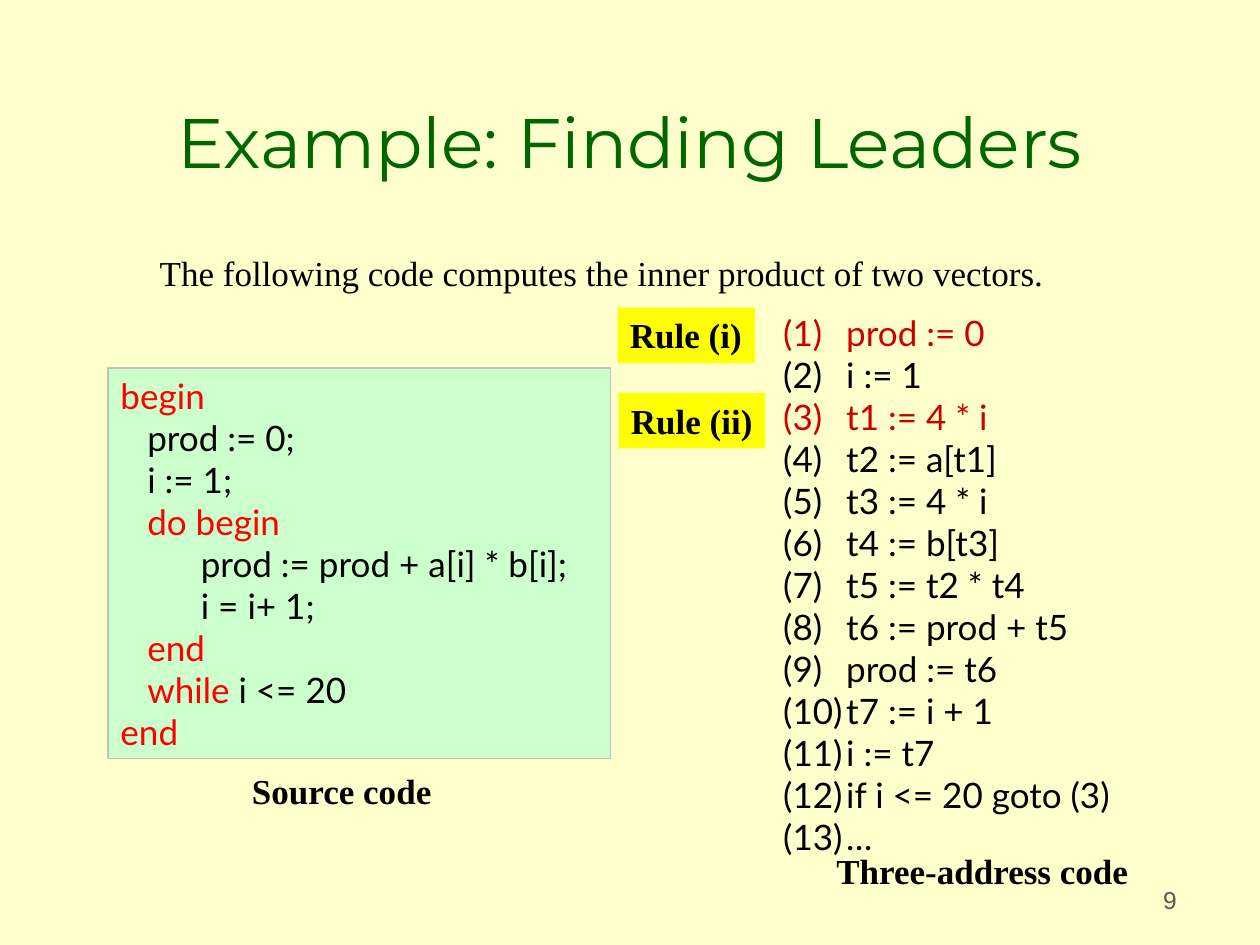
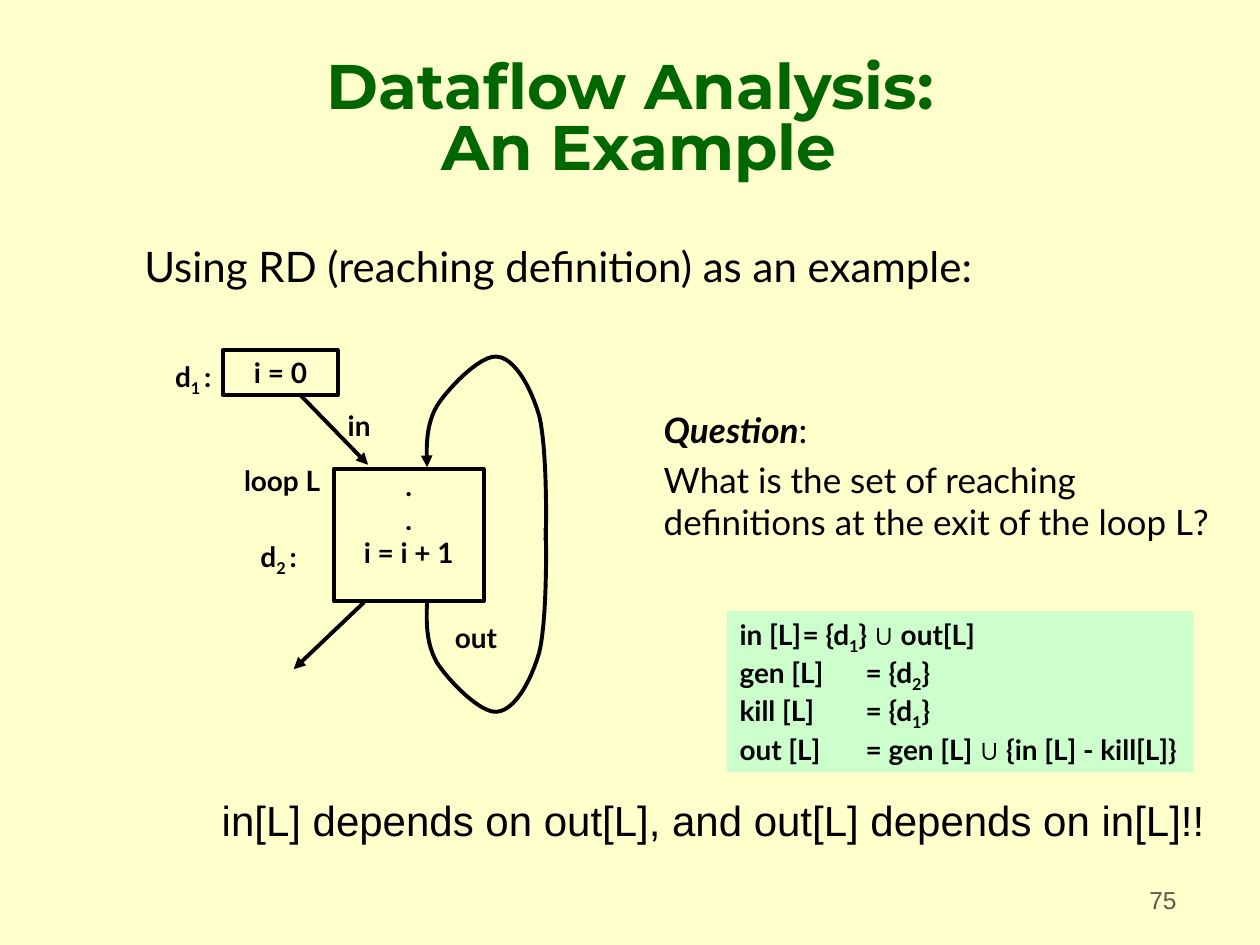
from dataclasses import dataclass, replace

from lxml.etree import SubElement
from pptx import Presentation
from pptx.dml.color import RGBColor
from pptx.enum.shapes import MSO_CONNECTOR, MSO_SHAPE
from pptx.enum.text import MSO_ANCHOR, PP_ALIGN
from pptx.oxml.ns import qn
from pptx.util import Cm, Pt


@dataclass(frozen=True)
class TextStyle:
    font: str
    size: int
    color: str = "000000"
    bold: bool = False


@dataclass(frozen=True)
class Theme:
    background: str = "FFFFCC"
    ink: str = "000000"
    panel: str = "CCFFCC"
    panel_edge: str = "C0C0C0"
    highlight: str = "FFFF00"
    keyword: str = "FF0000"
    leader: str = "CC0000"
    title: TextStyle = TextStyle("Montserrat", 40, "006600")
    page: TextStyle = TextStyle("Arial", 14, "5E574E")
    prose: TextStyle = TextStyle("Times New Roman", 20)
    caption: TextStyle = TextStyle("Times New Roman", 20, bold=True)
    code: TextStyle = TextStyle("Lato", 20)
    lead: TextStyle = TextStyle("Lato", 24)
    diagram: TextStyle = TextStyle("Lato", 16, bold=True)
    remark: TextStyle = TextStyle("Arial", 24)
    stroke: float = 2.25


@dataclass(frozen=True)
class Line:
    pieces: tuple
    color: str = ""
    indent: float = 0
    tab: float = 0
    before: float = 0


@dataclass(frozen=True)
class Piece:
    text: str
    color: str = ""
    font: str = ""
    bold: bool | None = None
    italic: bool | None = None
    subscript: bool = False


class Deck:
    def __init__(self, theme):
        self.theme = theme
        self.presentation = Presentation()
        self.presentation.slide_width = Cm(25.4)
        self.presentation.slide_height = Cm(19.05)
        fill = self.presentation.slide_master.background.fill
        fill.solid()
        fill.fore_color.rgb = RGBColor.from_string(theme.background)

    def start(self, title, title_style, page, spacing=1.0):
        self.slide = self.presentation.slides.add_slide(self.presentation.slide_layouts[6])
        self.text((1.9, 0.64, 21.6, 3.17), [title], title_style,
                  PP_ALIGN.CENTER, MSO_ANCHOR.BOTTOM, spacing)
        self.text((18.69, 17.3, 5.28, 1.27), [page], self.theme.page,
                  PP_ALIGN.RIGHT, MSO_ANCHOR.BOTTOM)

    def text(self, box, lines, style, align=PP_ALIGN.LEFT, anchor=MSO_ANCHOR.TOP, spacing=1.0):
        label = self.slide.shapes.add_textbox(*map(Cm, box))
        self.fill_frame(label.text_frame, lines, style, align, anchor, spacing)

    def box(self, box, lines, style, fill=None, edge=None, width=0.75,
            align=PP_ALIGN.LEFT, anchor=MSO_ANCHOR.TOP, top=0.13):
        shape = self.slide.shapes.add_shape(MSO_SHAPE.RECTANGLE, *map(Cm, box))
        shape.shadow.inherit = False
        if fill:
            shape.fill.solid()
            shape.fill.fore_color.rgb = RGBColor.from_string(fill)
        else:
            shape.fill.background()
        if edge:
            self.stroke(shape, edge, width)
        else:
            shape.line.fill.background()
        self.fill_frame(shape.text_frame, lines, style, align, anchor)
        shape.text_frame.margin_top = Cm(top)

    def fill_frame(self, frame, lines, style, align, anchor, spacing=1.0):
        frame.word_wrap = True
        frame.vertical_anchor = anchor
        frame.margin_left = Cm(0.25)
        frame.margin_right = Cm(0 if align == PP_ALIGN.LEFT else 0.25)
        frame.margin_top = frame.margin_bottom = Cm(0.13)
        for index, line in enumerate(lines):
            if isinstance(line, str):
                line = Line((line,))
            paragraph = frame.add_paragraph() if index else frame.paragraphs[0]
            paragraph.alignment = align
            paragraph.line_spacing = spacing
            paragraph.space_before = Pt(line.before)
            font = paragraph.font
            font.name, font.size, font.bold = style.font, Pt(style.size), style.bold
            font.color.rgb = RGBColor.from_string(line.color or style.color)
            properties = paragraph._p.get_or_add_pPr()
            properties.set("marL", str(Cm(line.indent)))
            properties.set("indent", "0")
            if line.tab:
                stops = SubElement(properties, qn("a:tabLst"))
                SubElement(stops, qn("a:tab"), pos=str(Cm(line.tab)), algn="l")
                properties.insert(properties.index(properties.find(qn("a:defRPr"))), stops)
            for piece in line.pieces:
                self.add_piece(paragraph, piece)

    def add_piece(self, paragraph, piece):
        if isinstance(piece, str):
            piece = Piece(piece)
        first, *rest = piece.text.split("\n")
        run = paragraph.add_run()
        run.text = first
        for part in rest:
            paragraph.add_line_break()
            paragraph.add_run().text = part
        if piece.color:
            run.font.color.rgb = RGBColor.from_string(piece.color)
        if piece.font:
            run.font.name = piece.font
        if piece.bold is not None:
            run.font.bold = piece.bold
        if piece.italic is not None:
            run.font.italic = piece.italic
        if piece.subscript:
            run.font._element.set("baseline", "-25000")

    def stroke(self, shape, color, width, arrow_end=None):
        shape.line.color.rgb = RGBColor.from_string(color)
        shape.line.width = Pt(width)
        if arrow_end:
            outline = shape._element.spPr.find(qn("a:ln"))
            SubElement(outline, qn(f"a:{arrow_end}"), type="triangle")

    def arrow(self, *ends):
        connector = self.slide.shapes.add_connector(MSO_CONNECTOR.STRAIGHT, *map(Cm, ends))
        self.stroke(connector, self.theme.ink, self.theme.stroke, "tailEnd")
        SubElement(connector._element.spPr, qn("a:effectLst"))

    def curve(self, start, segments, arrow_end=None, steps=12):
        points, current = [], start
        for a, b, end in segments:
            for step in range(1, steps + 1):
                t = step / steps
                weights = ((1 - t) ** 3, 3 * t * (1 - t) ** 2, 3 * t * t * (1 - t), t ** 3)
                points.append(tuple(
                    Cm(sum(w * c for w, c in zip(weights, axis)))
                    for axis in zip(current, a, b, end)))
            current = end
        builder = self.slide.shapes.build_freeform(*map(Cm, start))
        builder.add_line_segments(points, close=False)
        outline = builder.convert_to_shape()
        outline.shadow.inherit = False
        outline.fill.background()
        self.stroke(outline, self.theme.ink, self.theme.stroke, arrow_end)


def finding_leaders(deck):
    theme = deck.theme
    deck.start("Example: Finding Leaders", theme.title, "9")
    deck.text((2.97, 4.95, 18.5, 1.12),
              ["The following code computes the inner product of two vectors."], theme.prose)

    instructions = [
        "prod := 0", "i := 1", "t1 := 4 * i", "t2 := a[t1]", "t3 := 4 * i", "t4 := b[t3]",
        "t5 := t2 * t4", "t6 := prod + t5", "prod := t6", "t7 := i + 1", "i := t7",
        "if i <= 20 goto (3)", "…",
    ]
    leaders = (1, 3)
    three_address = [
        Line((f"({number})\t{instruction}",), theme.leader if number in leaders else "",
             tab=1.35 if number < 10 else 1.75)
        for number, instruction in enumerate(instructions, 1)
    ]
    deck.box((15.54, 6.15, 7.8, 11.28), three_address, theme.code, theme.background)
    deck.text((4.83, 15.39, 4.14, 1.12), ["Source code"], theme.caption)
    deck.text((16.61, 16.99, 6.4, 1.12), ["Three-address code"], theme.caption)
    deck.box((12.45, 6.2, 2.77, 1.12), ["Rule (i)"], theme.caption, theme.highlight)
    deck.box((12.47, 7.92, 2.95, 1.12), ["Rule (ii)"], theme.caption, theme.highlight)

    source = [
        (0, "begin", ""), (1, "", "prod := 0;"), (1, "", "i := 1;"), (1, "do begin", ""),
        (3, "", "prod := prod + a[i] * b[i];"), (3, "", "i = i+ 1;"), (1, "end", ""),
        (1, "while", " i <= 20"), (0, "end", ""),
    ]
    source_lines = []
    for level, keyword, rest in source:
        pieces = (Piece(keyword, theme.keyword), rest) if keyword and rest else (keyword or rest,)
        color = theme.keyword if keyword and not rest else ""
        source_lines.append(Line(pieces, color, indent=level * 0.54))
    deck.box((2.18, 7.42, 10.13, 7.87), source_lines, theme.code, theme.panel, theme.panel_edge)


def dataflow_analysis(deck):
    theme = deck.theme
    deck.start("Dataflow Analysis:\n An Example",
               replace(theme.title, size=36, bold=True), "75", spacing=0.8)
    deck.text((2.66, 4.72, 21.59, 1.65),
              ["Using RD (reaching definition) as an example:"], theme.lead)

    block = dict(style=theme.diagram, edge=theme.ink, width=theme.stroke, align=PP_ALIGN.CENTER)
    deck.box((4.5, 7.06, 2.31, 0.91), ["i = 0"], anchor=MSO_ANCHOR.MIDDLE, **block)
    deck.box((6.73, 9.45, 3.02, 2.67), [".", ".", "i = i + 1"], top=0, **block)
    deck.arrow(6.07, 7.98, 7.42, 9.37)
    deck.arrow(7.34, 12.14, 5.92, 13.49)

    loop_start = (8.61, 12.12)
    loop_out = [
        ((8.59, 12.55), (8.59, 12.98), (8.81, 13.36)),
        ((9.04, 13.72), (9.68, 14.38), (10.01, 14.35)),
        ((10.36, 14.33), (10.69, 13.77), (10.87, 13.16)),
        ((11.02, 12.55), (11.02, 11.1), (11, 10.64)),
    ]

    def mirror(point, axis=10.77):
        return point[0], 2 * axis - point[1]

    deck.curve(loop_start, loop_out)
    deck.curve(mirror(loop_start), [tuple(map(mirror, part)) for part in loop_out], "headEnd")

    def subscript(number):
        return Piece(number, subscript=True)

    labels = [
        (3.28, 7.11, 1.3, ("d", subscript("1 "), ":")),
        (6.76, 8.1, 1.04, ("in",)),
        (4.67, 9.22, 2.18, ("loop L",)),
        (5, 10.74, 1.3, ("d", subscript("2 "), ":")),
        (8.92, 12.37, 1.47, ("out",)),
    ]
    for left, top, width, pieces in labels:
        deck.text((left, top, width, 0.94), [Line(pieces)], theme.diagram)

    deck.text((13.13, 8.1, 12.17, 2.97), [
        Line((Piece("Question", bold=True, italic=True), ":")),
        Line(("What is the set of reaching",), before=5),
        "definitions at the exit of the loop L?",
    ], theme.code)

    union = Piece("∪", font="Arial")
    equations = [
        ("in [L]\t= {d", subscript("1"), "} ", union, " out[L]"),
        ("gen [L]\t= {d", subscript("2"), "}"),
        ("kill [L]\t= {d", subscript("1"), "}"),
        ("out [L]\t= gen [L] ", union, " {in [L] - kill[L]}"),
    ]
    deck.box((14.66, 12.32, 9.4, 3.25), [Line(pieces, tab=1.83) for pieces in equations],
             theme.diagram, theme.panel)
    deck.text((4.22, 15.88, 20.55, 1.27),
              ["in[L] depends on out[L], and out[L] depends on in[L]!!"],
              theme.remark, anchor=MSO_ANCHOR.MIDDLE)


def main():
    deck = Deck(Theme())
    finding_leaders(deck)
    dataflow_analysis(deck)
    deck.presentation.save("out.pptx")


if __name__ == "__main__":
    main()
